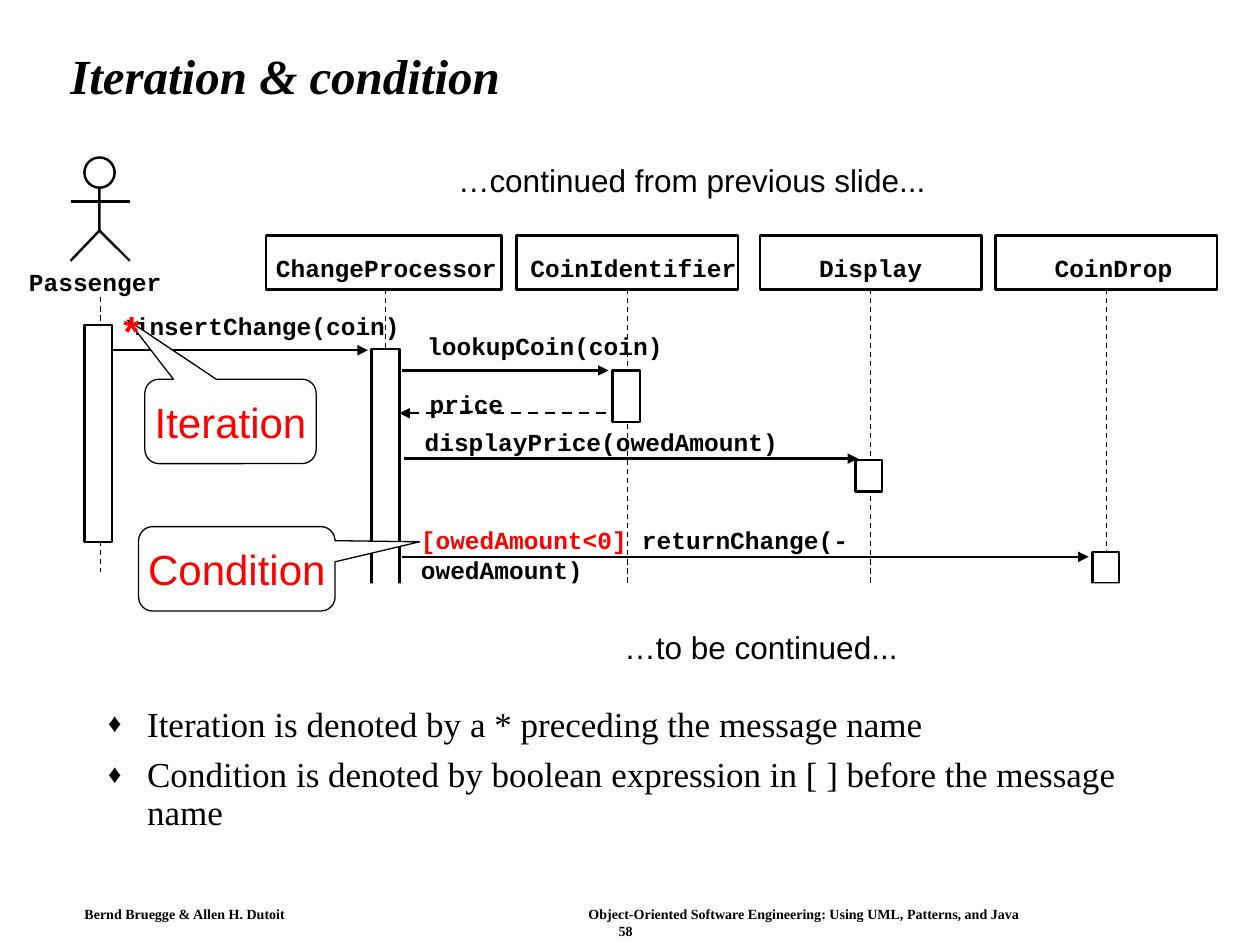
from lxml.etree import SubElement
from pptx import Presentation
from pptx.dml.color import RGBColor
from pptx.enum.dml import MSO_LINE
from pptx.enum.shapes import MSO_CONNECTOR, MSO_SHAPE
from pptx.enum.text import MSO_ANCHOR, MSO_AUTO_SIZE, PP_ALIGN
from pptx.oxml.ns import qn
from pptx.util import Inches, Pt

COLORS = {"ink": "000000", "paper": "FFFFFF", "mark": "FF0000"}
THIN, BOLD = 0.75, 1.39
PAD = (0.1, 0.05)
HEADS = [
    ("ChangeProcessor", 2.11, 1.87, 2.19, 1.76, 3.06),
    ("CoinIdentifier", 4.1, 1.76, 4.21, 1.64, 4.98),
    ("Display", 6.03, 1.76, 6.5, 0.82, 6.91),
    ("CoinDrop", 7.9, 1.76, 8.37, 0.94, 8.78),
]
BARS = [
    (0.67, 2.58, 0.22, 1.72),
    (2.95, 2.77, 0.22, 2.09),
    (4.86, 2.94, 0.22, 0.41),
    (6.79, 3.65, 0.21, 0.25),
    (8.67, 4.38, 0.21, 0.25),
]
CALLS = [
    (0.88, 2.92, 2.78, "insertChange(coin)", 1.07, 2.47, 2.11),
    (3.19, 4.83, 2.94, "lookupCoin(coin)", 3.39, 2.63, 1.88),
    (3.21, 6.81, 3.64, "displayPrice(owedAmount)", 3.37, 3.39, 2.81),
    (3.19, 8.64, 4.42,
     [("[owedAmount<0]", "mark"), (" returnChange(-owedAmount)", "ink")],
     3.34, 4.17, 4.68),
]


def color(name):
    """Return the named colour."""
    return RGBColor.from_string(COLORS[name])


def write(shape, *paras, font="Arial", size=18, tint="ink", bold=False,
          slant=False, align=PP_ALIGN.LEFT, anchor=MSO_ANCHOR.TOP,
          pad=(0, 0), wrap=False, space=None, before=0):
    """Fill a shape with paragraphs, each a string or a list of tinted runs."""
    frame = shape.text_frame
    frame.word_wrap = wrap
    frame.vertical_anchor = anchor
    frame.margin_left = frame.margin_right = Inches(pad[0])
    frame.margin_top = frame.margin_bottom = Inches(pad[1])
    for i, words in enumerate(paras):
        para = frame.add_paragraph() if i else frame.paragraphs[0]
        para.alignment = align
        para.space_before = Pt(before)
        if space:
            para.line_spacing = space
        for part, hue in [(words, tint)] if isinstance(words, str) else words:
            run = para.add_run()
            run.text = part
            run.font.name, run.font.size = font, Pt(size)
            run.font.bold, run.font.italic = bold, slant
            run.font.color.rgb = color(hue)
    return frame


def text(slide, at, *paras, **form):
    """Add a text box, which grows with its text unless it wraps."""
    box = slide.shapes.add_textbox(*map(Inches, at))
    frame = write(box, *paras, **form)
    if not frame.word_wrap:
        frame.auto_size = MSO_AUTO_SIZE.SHAPE_TO_FIT_TEXT
    return frame


def label(slide, at, words, **form):
    """Add a message or object name in bold Courier."""
    text(slide, at, words, font="Courier New", size=14, bold=True, **form)


def paint(shape, fill="paper", width=BOLD):
    """Set the fill and outline of a shape."""
    shape.shadow.inherit = False
    if fill:
        shape.fill.solid()
        shape.fill.fore_color.rgb = color(fill)
    else:
        shape.fill.background()
    if width:
        shape.line.color.rgb = color("ink")
        shape.line.width = Pt(width)
    else:
        shape.line.fill.background()
    return shape


def block(slide, at, kind=MSO_SHAPE.RECTANGLE, **look):
    """Add a preset shape."""
    return paint(slide.shapes.add_shape(kind, *map(Inches, at)), **look)


def line(slide, x1, y1, x2, y2, width=BOLD, dash=False, end=None):
    """Add a straight line, with an arrowhead at headEnd or tailEnd."""
    rule = slide.shapes.add_connector(
        MSO_CONNECTOR.STRAIGHT, *map(Inches, (x1, y1, x2, y2)))
    rule.line.color.rgb = color("ink")
    rule.line.width = Pt(width)
    if dash:
        rule.line.dash_style = MSO_LINE.DASH
    if end:
        SubElement(rule.line._get_or_add_ln(), qn("a:" + end), type="triangle")
    SubElement(rule._element.spPr, qn("a:effectLst"))


def actor(slide):
    """Draw the stick figure and its name."""
    pen = slide.shapes.build_freeform(Inches(0.79), Inches(1.42), scale=1.0)
    pen.add_line_segments(
        [(Inches(0.79), Inches(1.83)), (Inches(0.56), Inches(2.07))],
        close=False)
    paint(pen.convert_to_shape(), fill=None)
    line(slide, 0.79, 1.83, 1.03, 2.07)
    line(slide, 0.56, 1.6, 1.03, 1.6)
    block(slide, (0.67, 1.25, 0.24, 0.24), MSO_SHAPE.OVAL)
    label(slide, (0.23, 2.12, 1.06, 0.23), "Passenger")


def callout(slide, at, words, tip):
    """Add a rounded callout whose tip is given as two adjustments."""
    shape = block(slide, at, MSO_SHAPE.ROUNDED_RECTANGULAR_CALLOUT, width=THIN)
    for i, value in enumerate((*tip, 0.167)):
        shape.adjustments[i] = value
    write(shape, words, size=24, tint="mark", align=PP_ALIGN.CENTER,
          anchor=MSO_ANCHOR.MIDDLE, pad=PAD)


def banner(slide, at, words, anchor):
    """Add a white strip with a centred remark."""
    write(block(slide, at, width=None), words, align=PP_ALIGN.CENTER,
          anchor=anchor, pad=PAD, wrap=True)


def bullets(slide, at, *items):
    """Add the bulleted list."""
    frame = text(slide, at, *items, font="Times New Roman", size=20, pad=PAD,
                 wrap=True, space=0.9, before=7.5)
    for para in frame.paragraphs:
        prop = para._p.get_or_add_pPr()
        prop.set("marL", str(Inches(0.31)))
        prop.set("indent", str(-Inches(0.31)))
        tint = SubElement(prop, qn("a:buClr"))
        SubElement(tint, qn("a:srgbClr"), val=COLORS["ink"])
        SubElement(prop, qn("a:buSzPct"), val="75000")
        SubElement(prop, qn("a:buFont"), typeface="Times New Roman")
        SubElement(prop, qn("a:buChar"), char="♦")


def footer(slide):
    """Add the credit line, set on a tab stop, and the page number."""
    frame = text(slide, (0.59, 7.15, 8.75, 0.34),
                 "Bernd Bruegge & Allen H. Dutoit\tObject-Oriented Software "
                 "Engineering: Using UML, Patterns, and Java", "58",
                 font="Times New Roman", size=8, bold=True, pad=(0.08, 0.04),
                 wrap=True)
    credit, page = frame.paragraphs
    tabs = SubElement(credit._p.get_or_add_pPr(), qn("a:tabLst"))
    SubElement(tabs, qn("a:tab"), pos=str(Inches(4)), algn="l")
    page.alignment = PP_ALIGN.CENTER


def main():
    """Build the slide and save it."""
    deck = Presentation()
    deck.slide_width, deck.slide_height = Inches(10), Inches(7.5)
    slide = deck.slides.add_slide(deck.slide_layouts[6])
    footer(slide)
    text(slide, (0.46, 0.24, 8.92, 0.77), "Iteration & condition",
         font="Times New Roman", size=28, bold=True, slant=True,
         anchor=MSO_ANCHOR.MIDDLE, pad=PAD, wrap=True, space=0.9)
    bullets(slide, (0.76, 5.56, 8.5, 1.42),
            "Iteration is denoted by a * preceding the message name",
            "Condition is denoted by boolean expression in [ ] before the "
            "message name")
    line(slide, 0.8, 2.36, 0.8, 4.54, THIN, dash=True)
    actor(slide)
    for name, left, wide, start, span, axis in HEADS:
        block(slide, (left, 1.87, wide, 0.43), fill=None)
        label(slide, (start, 2.01, span, 0.23), name)
        line(slide, axis, 2.29, axis, 5.03, THIN, dash=True)
    for at in BARS:
        block(slide, at)
    for start, stop, level, words, left, top, span in CALLS:
        line(slide, start, level, stop, level, end="tailEnd")
        label(slide, (left, top, span, 0.23), words)
    line(slide, 3.17, 3.28, 4.82, 3.28, dash=True, end="headEnd")
    label(slide, (3.41, 3.09, 0.59, 0.23), "price")
    callout(slide, (1.15, 3.01, 1.36, 0.67), "Iteration", (-0.6, -1.2))
    callout(slide, (1.1, 4.18, 1.56, 0.67), "Condition", (0.93, -0.32))
    banner(slide, (2.93, 4.63, 6.22, 0.7), "…to be continued...",
           MSO_ANCHOR.BOTTOM)
    banner(slide, (2.38, 1.23, 6.22, 0.4), "…continued from previous slide...",
           MSO_ANCHOR.MIDDLE)
    text(slide, (0.88, 2.37, 0.33, 0.5), "*", size=24, tint="mark", bold=True,
         align=PP_ALIGN.CENTER, anchor=MSO_ANCHOR.MIDDLE, pad=PAD)
    deck.save("out.pptx")


if __name__ == "__main__":
    main()
